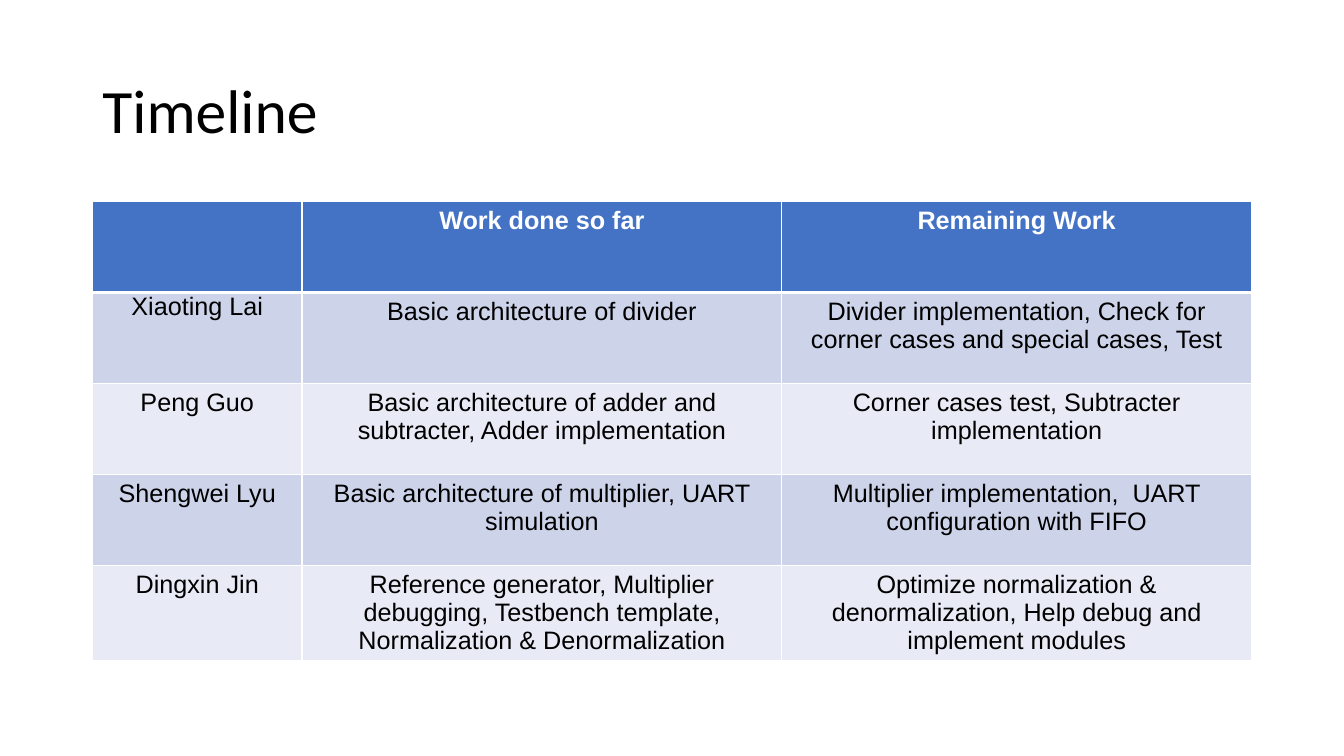
"""Build the project timeline slide: a title above a table of work per member."""
from lxml.etree import SubElement
from pptx import Presentation
from pptx.dml.color import RGBColor
from pptx.enum.text import MSO_ANCHOR as Anchor, PP_ALIGN as Align
from pptx.oxml.ns import qn
from pptx.util import Pt

WHITE, BLACK, HEADER = "FFFFFF", "000000", "4472C4"
BANDS = ["CDD4EA", "E8EBF5"]


def color(code):
    return RGBColor.from_string(code)


def add_border(cell, side, width):
    line = SubElement(cell._tc.get_or_add_tcPr(), qn(f"a:ln{side}"), w=str(Pt(width)))
    fill = SubElement(line, qn("a:solidFill"))
    SubElement(fill, qn("a:srgbClr"), val=WHITE)


deck = Presentation()
deck.slide_width, deck.slide_height = Pt(960), Pt(540)
page = deck.slides.add_slide(deck.slide_layouts[5])

title = page.shapes.title
title.left, title.top, title.width, title.height = Pt(66), Pt(28.8), Pt(828), Pt(104.4)
title.text_frame.text = "Timeline"
title.text_frame.vertical_anchor = Anchor.MIDDLE
para = title.text_frame.paragraphs[0]
para.alignment = Align.LEFT
para.line_spacing = 0.9
para.font.name, para.font.size = "Calibri", Pt(44)
para.font.color.rgb = color(BLACK)

rows = [
    ["", "Work done so far", "Remaining Work"],
    ["Xiaoting Lai", "Basic architecture of divider",
     "Divider implementation, Check for corner cases and special cases, Test"],
    ["Peng Guo", "Basic architecture of adder and subtracter, Adder implementation",
     "Corner cases test, Subtracter implementation"],
    ["Shengwei Lyu", "Basic architecture of multiplier, UART simulation",
     "Multiplier implementation,  UART configuration with FIFO"],
    ["Dingxin Jin",
     "Reference generator, Multiplier debugging, Testbench template,\n"
     "Normalization & Denormalization",
     "Optimize normalization & denormalization, Help debug and implement modules"],
]
widths = [149.8, 342.7, 335.5]
row_height = 65

table = page.shapes.add_table(len(rows), len(widths), Pt(66), Pt(144),
                              Pt(sum(widths)), Pt(row_height * len(rows))).table
for column, width in zip(table.columns, widths):
    column.width = Pt(width)

for r, texts in enumerate(rows):
    is_header = r == 0
    table.rows[r].height = Pt(row_height)
    for c, text in enumerate(texts):
        cell = table.cell(r, c)
        for side in "LRTB":
            thick = (is_header and side == "B") or (r == 1 and side == "T")
            add_border(cell, side, 3 if thick else 1)
        cell.fill.solid()
        cell.fill.fore_color.rgb = color(HEADER if is_header else BANDS[(r - 1) % 2])
        cell.text = text
        for para in cell.text_frame.paragraphs:
            para.alignment = Align.CENTER
            para.font.name, para.font.size = "Arial", Pt(18)
            para.font.bold = is_header
            para.font.color.rgb = color(WHITE if is_header else BLACK)

first_name = table.cell(1, 0).text_frame.paragraphs[0]
first_name.line_spacing = 0.8
first_name.space_before = Pt(10)

deck.save("out.pptx")
